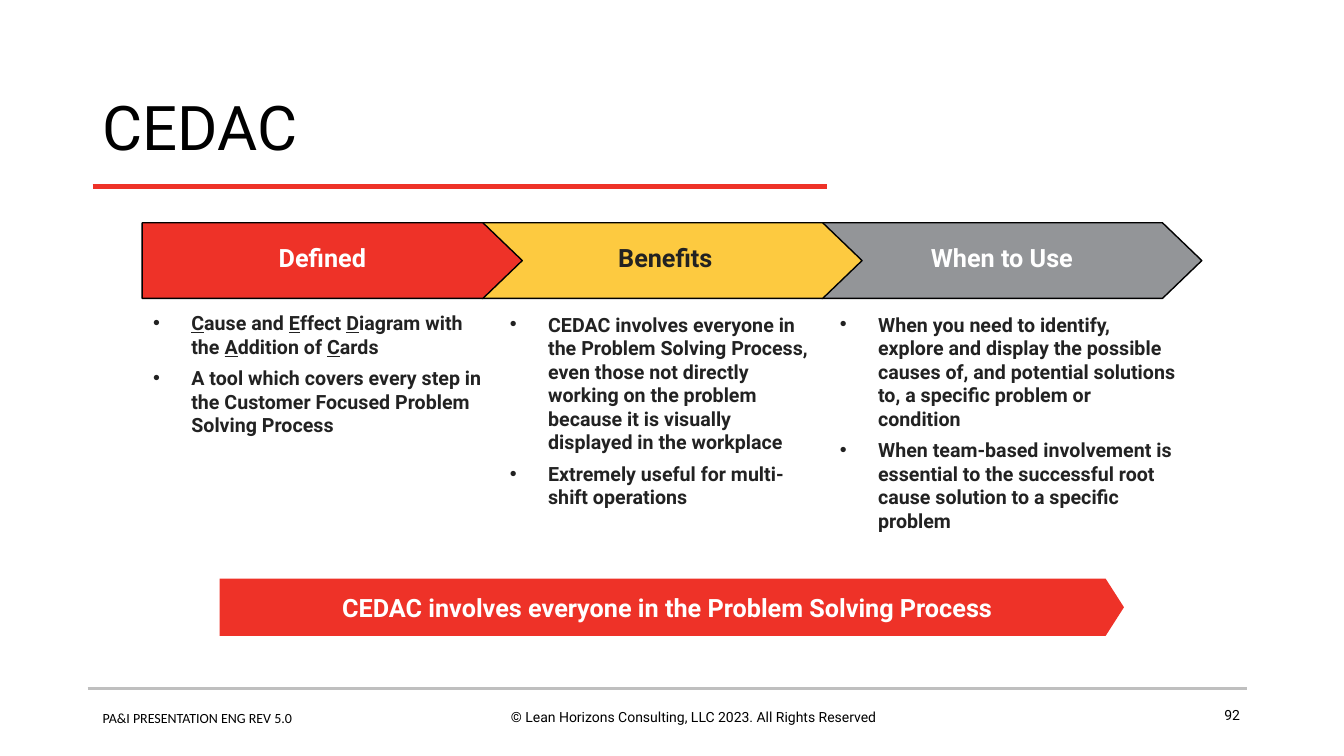
from lxml.etree import SubElement
from pptx import Presentation
from pptx.dml.color import RGBColor
from pptx.enum.shapes import MSO_CONNECTOR as Connector, MSO_SHAPE as Shape
from pptx.enum.text import MSO_ANCHOR as Anchor, PP_ALIGN as Align
from pptx.oxml.ns import qn
from pptx.util import Inches, Pt

WIDTH, HEIGHT = Inches(13.33), Inches(7.5)
RED = RGBColor(0xEE, 0x32, 0x28)
YELLOW = RGBColor(0xFD, 0xCA, 0x40)
GRAY = RGBColor(0x93, 0x95, 0x98)
RULE_GRAY = RGBColor(0xBF, 0xBF, 0xBF)
INK = RGBColor(0x22, 0x22, 0x22)
BLACK = RGBColor(0, 0, 0)
WHITE = RGBColor(255, 255, 255)

STAGE_LEFT, STAGE_STEP = 10.58, 25.28
STAGES = [
    ("Defined", RED, WHITE, (10.65, 40.53, 26.2, 32.8), [
        "_C_ause and _E_ffect _D_iagram with the _A_ddition of _C_ards",
        "A tool which covers every step in the Customer Focused Problem "
        "Solving Process"]),
    (" Benefits", YELLOW, INK, (37.2, 40.67, 24.3, 32.8), [
        "CEDAC involves everyone in the Problem Solving Process, even those "
        "not directly working on the problem because it is visually "
        "displayed in the workplace",
        "Extremely useful for multi-shift operations"]),
    ("When to Use", GRAY, WHITE, (61.75, 40.67, 26.55, 32.8), [
        "When you need to identify, explore and display the possible causes "
        "of, and potential solutions to, a specific problem or condition",
        "When team-based involvement is essential to the successful root "
        "cause solution to a specific problem"]),
]


def across(percent):
    return int(WIDTH * percent / 100)


def down(percent):
    return int(HEIGHT * percent / 100)


def area(left, top, width, height):
    return across(left), down(top), across(width), down(height)


def add_bullet(para):
    properties = para._p.get_or_add_pPr()
    properties.set("marL", str(Inches(0.38)))
    properties.set("indent", str(-Inches(0.38)))
    SubElement(properties, qn("a:buFont")).set("typeface", "Arial")
    SubElement(properties, qn("a:buChar")).set("char", "•")


def write(frame, *texts, size=10, color=BLACK, font="Roboto", bold=False,
          align=Align.LEFT, spacing=None, anchor=Anchor.TOP, wrap=True,
          bullets=False, gap=0):
    frame.word_wrap = wrap
    frame.vertical_anchor = anchor
    for index, text in enumerate(texts):
        para = frame.add_paragraph() if index else frame.paragraphs[0]
        if bullets:
            add_bullet(para)
        para.alignment = align
        para.line_spacing = spacing
        para.space_before = Pt(gap if index else 0)
        for position, part in enumerate(text.split("_")):
            if part:
                span = para.add_run()
                span.text = part
                span.font.name = font
                span.font.size = Pt(size)
                span.font.bold = bold
                span.font.color.rgb = color
                span.font.underline = position % 2 == 1


def add_text(page, place, *texts, **style):
    box = page.shapes.add_textbox(*area(*place))
    write(box.text_frame, *texts, **style)


def add_arrow(page, place, text, fill, color, point, outline=None, **style):
    arrow = page.shapes.add_shape(Shape.PENTAGON, *area(*place))
    arrow.adjustments[0] = point
    arrow.shadow.inherit = False
    arrow.fill.solid()
    arrow.fill.fore_color.rgb = fill
    if outline is None:
        arrow.line.fill.background()
    else:
        arrow.line.color.rgb = outline
        arrow.line.width = Pt(1)
    write(arrow.text_frame, text, size=18, color=color, bold=True,
          align=Align.CENTER, anchor=Anchor.MIDDLE, wrap=False, **style)


def add_rule(page, start, end, level, color, weight):
    rule = page.shapes.add_connector(
        Connector.STRAIGHT, across(start), down(level), across(end), down(level))
    rule.line.color.rgb = color
    rule.line.width = Pt(weight)
    SubElement(rule._element.spPr, qn("a:effectLst"))


def add_title(page, text):
    title = page.shapes.title
    title.left, title.top, title.width, title.height = area(6.9, 9.87, 86.25, 14.67)
    write(title.text_frame, text, size=44, spacing=0.9, anchor=Anchor.MIDDLE)


def add_footer(page):
    add_text(page, (34.5, 93.07, 34.2, 5.87),
             "© Lean Horizons Consulting, LLC 2023. All Rights Reserved",
             align=Align.CENTER)
    add_text(page, (6.9, 93.2, 34.2, 5.87), "PA&I PRESENTATION ENG REV 5.0",
             font="Calibri")
    add_text(page, (70.5, 93.07, 22.5, 4.8), "92", align=Align.RIGHT, spacing=0.9)
    add_rule(page, 6.53, 92.78, 91.07, RULE_GRAY, 2)


def add_stages(page):
    for index, (name, fill, color, place, points) in reversed(list(enumerate(STAGES))):
        left = STAGE_LEFT + index * STAGE_STEP
        add_arrow(page, (left, 29.47, 28.28, 10), name, fill, color,
                  point=0.52, outline=BLACK, spacing=0.8)
        add_text(page, place, *points, size=14, color=INK, bold=True,
                 bullets=True, gap=5.6)


def main():
    deck = Presentation()
    deck.slide_width, deck.slide_height = WIDTH, HEIGHT
    page = deck.slides.add_slide(deck.slide_layouts[5])
    add_title(page, "CEDAC")
    add_rule(page, 6.9, 61.5, 24.67, RED, 3)
    add_stages(page)
    add_arrow(page, (16.35, 76.53, 67.28, 7.6),
              "CEDAC involves everyone in the Problem Solving Process",
              RED, WHITE, point=0.32)
    add_footer(page)
    deck.save("out.pptx")


if __name__ == "__main__":
    main()
